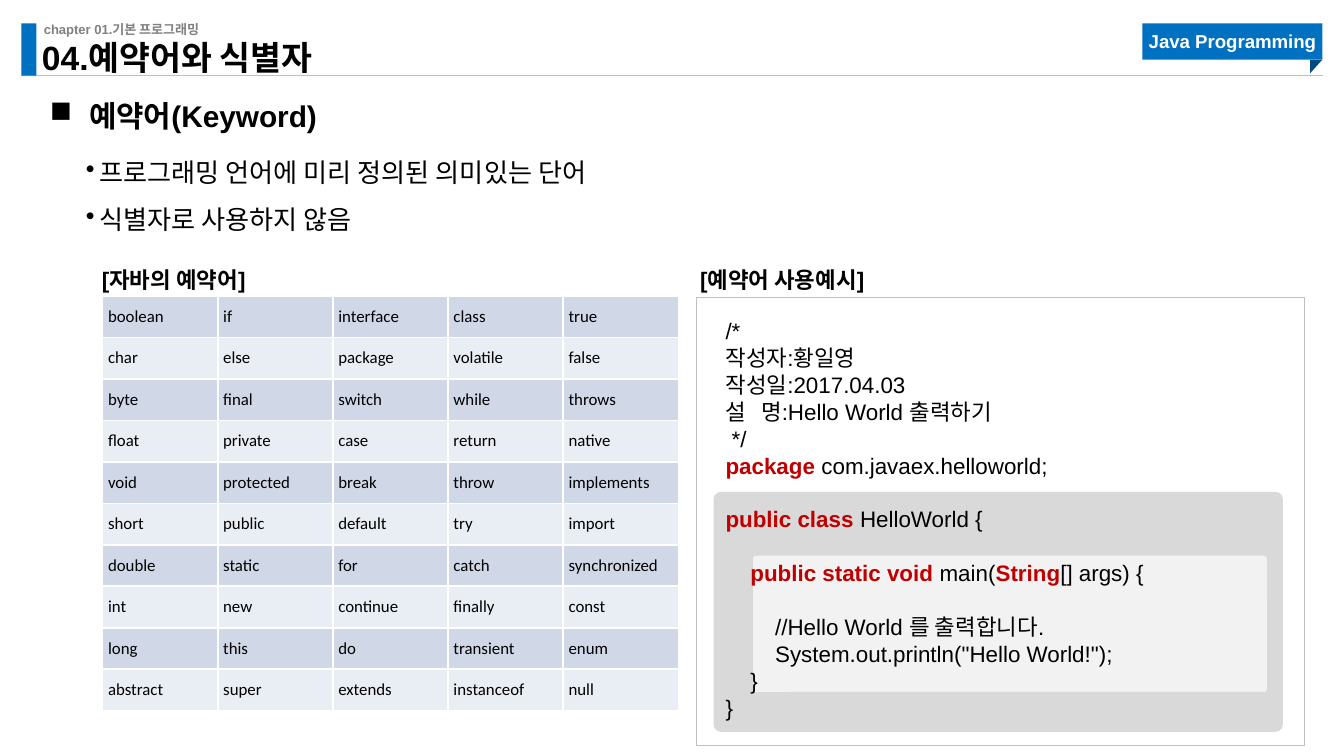
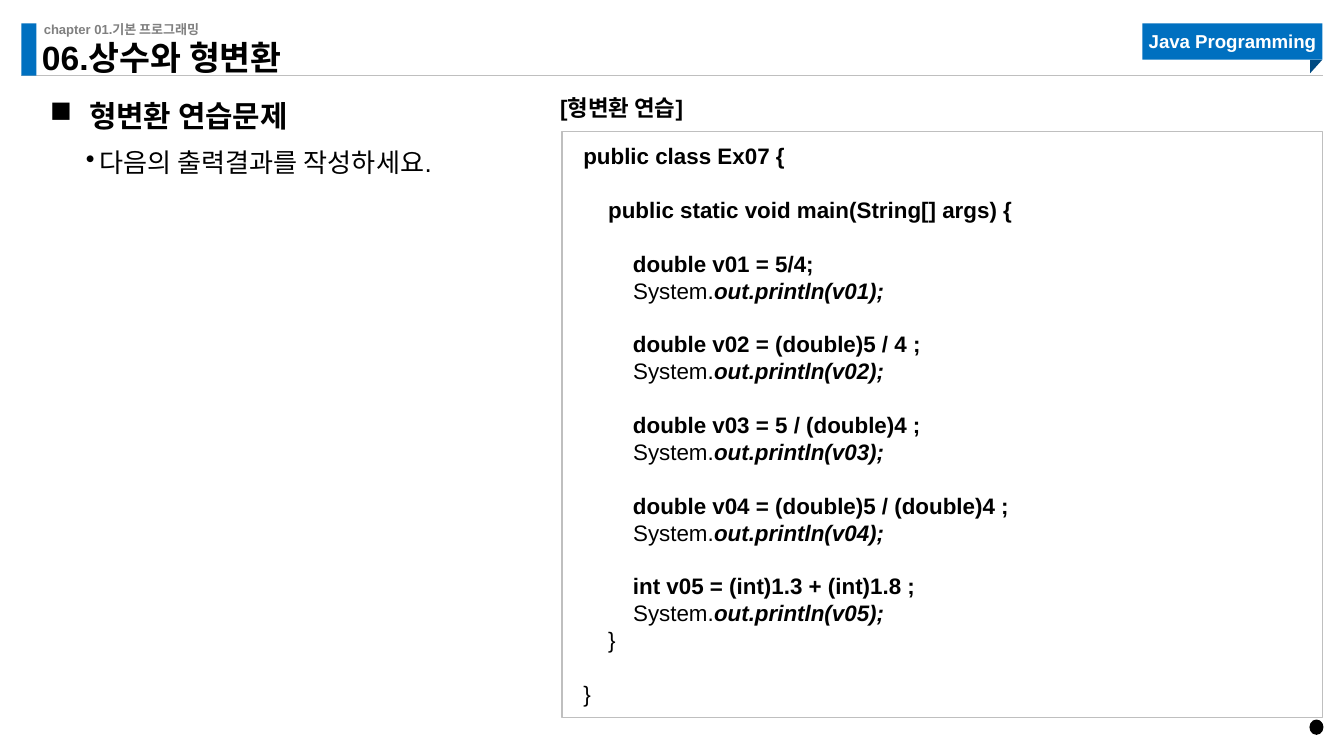
from dataclasses import dataclass, field
from typing import NamedTuple, Optional

import pptx
import pptx.dml.color
import pptx.enum.shapes
import pptx.enum.text
import pptx.oxml
import pptx.oxml.ns
import pptx.util
from lxml import etree

Pt = pptx.util.Pt
SHAPE = pptx.enum.shapes.MSO_SHAPE
ALIGN = pptx.enum.text.PP_ALIGN
ANCHOR = pptx.enum.text.MSO_ANCHOR
qn = pptx.oxml.ns.qn

COLORS = {
    "blue": "0070C0", "navy": "004A82", "rule": "BFBFBF", "gray": "808080",
    "outer": "D9D9D9", "inner": "F2F2F2", "row_dark": "D0D8E8", "row_light": "E9EDF4",
    "keyword": "C00000", "black": "000000", "white": "FFFFFF",
}


def style(size: float, color: str = "black", **extra) -> dict:
    return {"name": "Arial", "size": Pt(size), "bold": False, "italic": False,
            "color": color, **extra}


FORMATS = {
    "chapter": style(7, "gray", bold=True),
    "title": style(18, bold=True),
    "tag": style(10, "white", bold=True),
    "heading": style(16, bold=True),
    "bullet": style(14),
    "caption": style(12, bold=True),
    "code": style(12),
    "keyword": style(12, "keyword", bold=True),
    "strong": style(12, bold=True),
    "call": style(12, bold=True, italic=True),
    "cell": style(9, name="Calibri"),
}
CODE_PITCH = 14.4
NO_INSETS = (0, 0, 0, 0)
BOX_INSETS = (7.2, 3.6, 7.2, 3.6)


class Box(NamedTuple):
    x: float
    y: float
    w: float
    h: float

    def pts(self) -> list:
        return [Pt(v) for v in self]


class Run(NamedTuple):
    text: str
    fmt: str


@dataclass
class Para:
    runs: list
    layout: dict = field(default_factory=dict)
    bullet: Optional[str] = None
    margin: float = 0
    hang: float = 0


@dataclass
class Panel:
    box: Box
    kind: int = SHAPE.RECTANGLE
    fill: Optional[str] = None
    line: Optional[str] = None
    width: float = 1
    corner: Optional[float] = None
    rotation: float = 0


def rgb(name: str):
    return pptx.dml.color.RGBColor.from_string(COLORS[name])


def add_run(p, run: Run) -> None:
    r = p.add_run()
    r.text = run.text
    for key, value in FORMATS[run.fmt].items():
        if key == "color":
            r.font.color.rgb = rgb(value)
        else:
            setattr(r.font, key, value)


def write(tf, paras: list, insets: tuple = BOX_INSETS, anchor=ANCHOR.TOP) -> None:
    frame = dict(zip(("margin_left", "margin_top", "margin_right", "margin_bottom"),
                     map(Pt, insets)), word_wrap=True, vertical_anchor=anchor)
    for key, value in frame.items():
        setattr(tf, key, value)
    for i, para in enumerate(paras):
        p = tf.add_paragraph() if i else tf.paragraphs[0]
        for key, value in {"alignment": ALIGN.LEFT, **para.layout}.items():
            setattr(p, key, value)
        if para.bullet:
            pPr = p._p.get_or_add_pPr()
            pPr.set("marL", str(Pt(para.margin)))
            pPr.set("indent", str(Pt(-para.hang)))
            etree.SubElement(pPr, qn("a:buChar")).set("char", para.bullet)
        for run in para.runs:
            add_run(p, run)


def add_text(s, box: Box, paras: list, insets: tuple = BOX_INSETS, anchor=ANCHOR.TOP) -> None:
    write(s.shapes.add_textbox(*box.pts()).text_frame, paras, insets, anchor)


def add_panel(s, panel: Panel):
    sp = s.shapes.add_shape(panel.kind, *panel.box.pts())
    sp.shadow.inherit = False
    sp.rotation = panel.rotation
    if panel.corner is not None:
        sp.adjustments[0] = panel.corner
    if panel.fill:
        sp.fill.solid()
        sp.fill.fore_color.rgb = rgb(panel.fill)
    else:
        sp.fill.background()
    if panel.line:
        sp.line.color.rgb = rgb(panel.line)
        sp.line.width = Pt(panel.width)
    else:
        sp.line.fill.background()
    return sp


def add_caption(s, x: float, y: float, text: str) -> None:
    add_text(s, Box(x, y, 160, 21.6), [Para([Run(text, "caption")])])


def add_page(prs, title: str, heading: str, bullets: list, bullets_y: float):
    """Add a slide with the shared header, its heading and its bullets."""
    s = prs.slides.add_slide(prs.slide_layouts[6])
    rule = s.shapes.add_connector(pptx.enum.shapes.MSO_CONNECTOR.STRAIGHT,
                                  Pt(11.5), Pt(40.5), Pt(708.5), Pt(40.5))
    rule.line.color.rgb = rgb("rule")
    rule.line.width = Pt(0.5)
    etree.SubElement(rule._element.spPr, qn("a:effectLst"))

    add_panel(s, Panel(Box(11.5, 12.5, 8, 28), fill="blue"))
    add_text(s, Box(23.5, 11.5, 232.5, 8.6),
             [Para([Run("chapter 01.기본 프로그래밍", "chapter")])], NO_INSETS)
    tag = add_panel(s, Panel(Box(612, 12.5, 96.5, 19.5), fill="blue"))
    write(tag.text_frame, [Para([Run("Java Programming", "tag")], {"alignment": ALIGN.CENTER})],
          NO_INSETS, ANCHOR.MIDDLE)
    add_panel(s, Panel(Box(701.5, 32.4, 7.2, 6.5), SHAPE.RIGHT_TRIANGLE, "navy", rotation=90))

    add_text(s, Box(22.5, 25, 237.5, 16.5),
             [Para([Run(title, "title")], {"line_spacing": 0.9})], NO_INSETS, ANCHOR.BOTTOM)
    add_text(s, Box(26.8, 42.5, 687, 24),
             [Para([Run(heading, "heading")], {"line_spacing": 1.5}, "■", 21, 21)], NO_INSETS)
    add_text(s, Box(24.5, bullets_y, 687, 29),
             [Para([Run(text, "bullet")], {"line_spacing": 1.5, "level": 1}, "•", 28.8, 7.2)
              for text in bullets], (0, 3.6, 7.2, 3.6))
    return s


def code(*runs: Run, gap: bool = False) -> Para:
    """A code line; gap leaves one empty line above it."""
    return Para(list(runs), {"line_spacing": Pt(CODE_PITCH),
                             "space_before": Pt(CODE_PITCH if gap else 0)})


def marked(line: str, gap: bool = False) -> Para:
    """A code line in which the parts between bars are keywords."""
    return code(*(Run(part, "keyword" if i % 2 else "code")
                  for i, part in enumerate(line.split("|")) if part), gap=gap)


KEYWORDS = """
boolean if interface class true
char else package volatile false
byte final switch while throws
float private case return native
void protected break throw implements
short public default try import
double static for catch synchronized
int new continue finally const
long this do transient enum
abstract super extends instanceof null
"""


def add_border(cell) -> None:
    tcPr = cell._tc.get_or_add_tcPr()
    for i, side in enumerate(("a:lnL", "a:lnR", "a:lnT", "a:lnB")):
        ln = etree.Element(qn(side), w=str(Pt(1)))
        fill = etree.SubElement(ln, qn("a:solidFill"))
        etree.SubElement(fill, qn("a:srgbClr")).set("val", COLORS["white"])
        tcPr.insert(i, ln)


def add_keyword_table(s, box: Box) -> None:
    rows = [line.split() for line in KEYWORDS.strip().splitlines()]
    table = s.shapes.add_table(len(rows), len(rows[0]), *box.pts()).table
    table.first_row = table.horz_banding = False
    for column in table.columns:
        column.width = Pt(box.w / len(rows[0]))
    for i, words in enumerate(rows):
        table.rows[i].height = Pt(box.h / len(rows))
        for j, word in enumerate(words):
            cell = table.cell(i, j)
            cell.fill.solid()
            cell.fill.fore_color.rgb = rgb("row_light" if i % 2 else "row_dark")
            add_border(cell)
            cell.vertical_anchor = ANCHOR.MIDDLE
            for side in ("left", "top", "right", "bottom"):
                setattr(cell, f"margin_{side}", Pt(2.9))
            add_run(cell.text_frame.paragraphs[0], Run(word, "cell"))


def build_keywords(prs) -> None:
    s = add_page(prs, "04.예약어와 식별자", "예약어(Keyword)",
                 ["프로그래밍 언어에 미리 정의된 의미있는 단어", "식별자로 사용하지 않음"], 72)
    for panel in (
        Panel(Box(373, 159.5, 326, 240), line="rule", width=0.75),
        Panel(Box(382.8, 264, 304, 127.6), SHAPE.ROUNDED_RECTANGLE, "outer", "outer", corner=0.027),
        Panel(Box(402.8, 297.2, 276.5, 74), SHAPE.ROUNDED_RECTANGLE, "inner", "outer", corner=0.027),
    ):
        add_panel(s, panel)
    add_caption(s, 47.5, 139, "[자바의 예약어]")
    add_keyword_table(s, Box(55, 158.5, 308.5, 222.5))
    add_caption(s, 368, 139, "[예약어 사용예시]")
    add_text(s, Box(381.6, 166.5, 270, 225.5), [
        marked("/*"),
        marked("작성자:황일영"),
        marked("작성일:2017.04.03"),
        marked("설   명:Hello World 출력하기"),
        marked(" */"),
        marked("|package |com.javaex.helloworld;"),
        marked("|public class |HelloWorld {", gap=True),
        marked("    |public static void |main(|String|[] args) {", gap=True),
        marked("        //Hello World 를 출력합니다.", gap=True),
        marked('        System.out.println("Hello World!");'),
        marked("    }"),
        marked("}"),
    ])


def build_casting(prs) -> None:
    s = add_page(prs, "06.상수와 형변환", "형변환 연습문제", ["다음의 출력결과를 작성하세요."], 66.5)
    add_panel(s, Panel(Box(702, 386, 6.5, 7.2), SHAPE.OVAL, "black", "black"))
    add_caption(s, 293, 46.8, "[형변환 연습]")
    lines = [
        code(Run("public class Ex07 {", "strong")),
        code(Run("    public static void main(String[] args) {", "strong"), gap=True),
    ]
    declarations = ["double v01 = 5/4;", "double v02 = (double)5 / 4 ;",
                    "double v03 = 5 / (double)4 ;", "double v04 = (double)5 / (double)4 ;",
                    "int v05 = (int)1.3 + (int)1.8 ;"]
    for n, declaration in enumerate(declarations, 1):
        lines += [code(Run(f"        {declaration}", "strong"), gap=True),
                  code(Run("        ", "strong"), Run("System.", "code"),
                       Run(f"out.println(v{n:02});", "call"))]
    lines += [code(Run("    ", "strong"), Run("}", "code")), code(Run("}", "code"), gap=True)]
    sp = add_panel(s, Panel(Box(301, 70.5, 407.5, 314), line="rule", width=0.75))
    write(sp.text_frame, lines, (11.5, 5.8, 11.5, 0))


def main() -> None:
    prs = pptx.Presentation()
    prs.slide_width, prs.slide_height = Pt(720), Pt(405)
    build_keywords(prs)
    build_casting(prs)
    prs.save("out.pptx")


if __name__ == "__main__":
    main()
